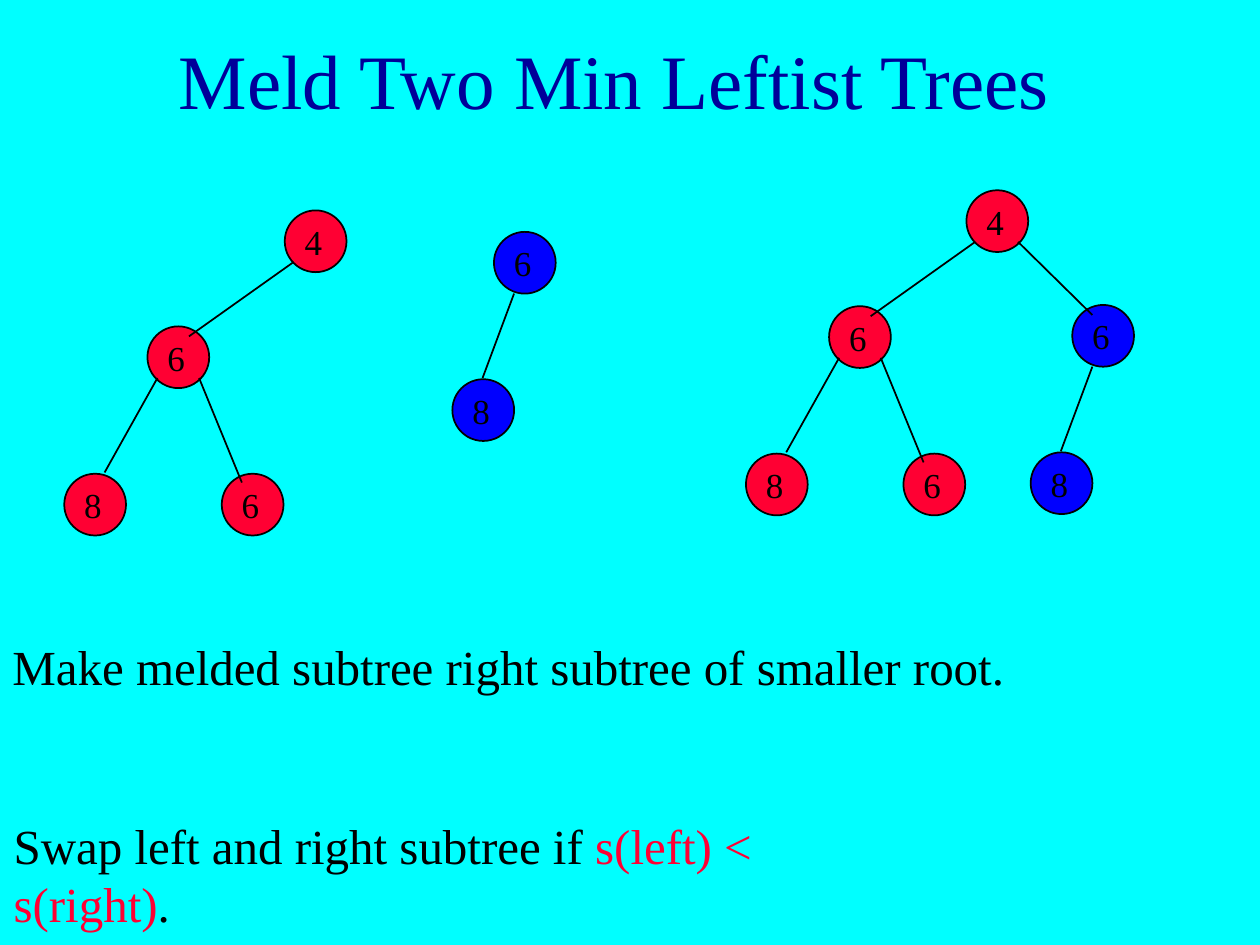
import dataclasses

import lxml.etree
import pptx
import pptx.dml.color
import pptx.enum.shapes
import pptx.enum.text
import pptx.oxml.ns
import pptx.util

Inches = pptx.util.Inches
Align = pptx.enum.text.PP_ALIGN


def rgb(value):
    return pptx.dml.color.RGBColor.from_string(value)


@dataclasses.dataclass
class Theme:
    font: str = "Times New Roman"
    background: str = "00FFFF"
    title: str = "000099"
    ink: str = "000000"
    red: str = "FF0033"
    blue: str = "0000FF"
    title_size: int = 44
    body_size: int = 28
    label_size: int = 20
    line_width: int = 1
    node: float = 0.49


class Painter:
    def __init__(self, page, theme):
        self.page = page
        self.theme = theme
        page.background.fill.solid()
        page.background.fill.fore_color.rgb = rgb(theme.background)

    def text(self, place, spans, size, align=Align.LEFT, wrap=True,
             anchor=pptx.enum.text.MSO_ANCHOR.TOP):
        """Add one paragraph made of (wording, colour) spans."""
        box = self.page.shapes.add_textbox(*map(Inches, place))
        frame = box.text_frame
        frame.word_wrap = wrap
        frame.vertical_anchor = anchor
        para = frame.paragraphs[0]
        para.alignment = align
        para.font.name = self.theme.font
        para.font.size = pptx.util.Pt(size)
        for wording, colour in spans:
            span = para.add_run()
            span.text = wording
            span.font.color.rgb = rgb(colour)

    def circle(self, left, top, colour):
        size = Inches(self.theme.node)
        shape = self.page.shapes.add_shape(
            pptx.enum.shapes.MSO_SHAPE.OVAL, Inches(left), Inches(top), size, size)
        shape.shadow.inherit = False
        shape.fill.solid()
        shape.fill.fore_color.rgb = rgb(colour)
        self.outline(shape.line)

    def edge(self, x1, y1, x2, y2):
        line = self.page.shapes.add_connector(
            pptx.enum.shapes.MSO_CONNECTOR.STRAIGHT, *map(Inches, (x1, y1, x2, y2)))
        self.outline(line.line)
        lxml.etree.SubElement(line._element.spPr, pptx.oxml.ns.qn("a:effectLst"))

    def outline(self, line):
        line.color.rgb = rgb(self.theme.ink)
        line.width = pptx.util.Pt(self.theme.line_width)

    def tree(self, left, top, nodes, edges, colour):
        """Draw a tree whose parts are measured from its root's corner."""
        for _, x, y in nodes:
            self.circle(left + x, top + y, colour)
        for x1, y1, x2, y2 in edges:
            self.edge(left + x1, top + y1, left + x2, top + y2)
        for key, x, y in nodes:
            self.text((left + x + 0.06, top + y + 0.03, 0.34, 0.43),
                      [(key, self.theme.ink)], self.theme.label_size, wrap=False)


# Trees: nodes are (key, x, y), edges are (x1, y1, x2, y2)
RED_NODES = [("4", 0, 0), ("6", -1.09, 0.92), ("8", -1.75, 2.09), ("6", -0.5, 2.09)]
RED_EDGES = [(0.07, 0.41, -0.76, 1), (-1.01, 1.33, -1.43, 2.08),
             (-0.68, 1.33, -0.34, 2.16)]
BLUE_NODES = [("6", 0, 0), ("8", -0.33, 1.17)]
BLUE_EDGES = [(0.16, 0.49, -0.09, 1.16)]


def main():
    deck = pptx.Presentation()
    deck.slide_width, deck.slide_height = Inches(10), Inches(7.5)
    theme = Theme()
    painter = Painter(deck.slides.add_slide(deck.slide_layouts[6]), theme)

    # Title
    painter.text((0, 0, 9.75, 1.25), [("Meld Two Min Leftist Trees", theme.title)],
                 theme.title_size, Align.CENTER,
                 anchor=pptx.enum.text.MSO_ANCHOR.MIDDLE)

    # Melded tree on the right, then the two separate trees
    for red_root, blue_root in [((7.67, 1.51), (8.51, 2.42)),
                                ((2.26, 1.67), (3.92, 1.84))]:
        painter.tree(*red_root, RED_NODES, RED_EDGES, theme.red)
        painter.tree(*blue_root, BLUE_NODES, BLUE_EDGES, theme.blue)

    # Edge that joins the melded subtree to the smaller root
    painter.edge(8.08, 1.92, 8.67, 2.5)

    # Rules
    painter.text((0, 5, 8.75, 0.57),
                 [("Make melded subtree right subtree of smaller root.", theme.ink)],
                 theme.body_size)
    painter.text((0.01, 6.42, 7.39, 0.57),
                 [("Swap left and right subtree if ", theme.ink),
                  ("s(left) < s(right)", theme.red), (".", theme.ink)],
                 theme.body_size, wrap=False)

    deck.save("out.pptx")


if __name__ == "__main__":
    main()
